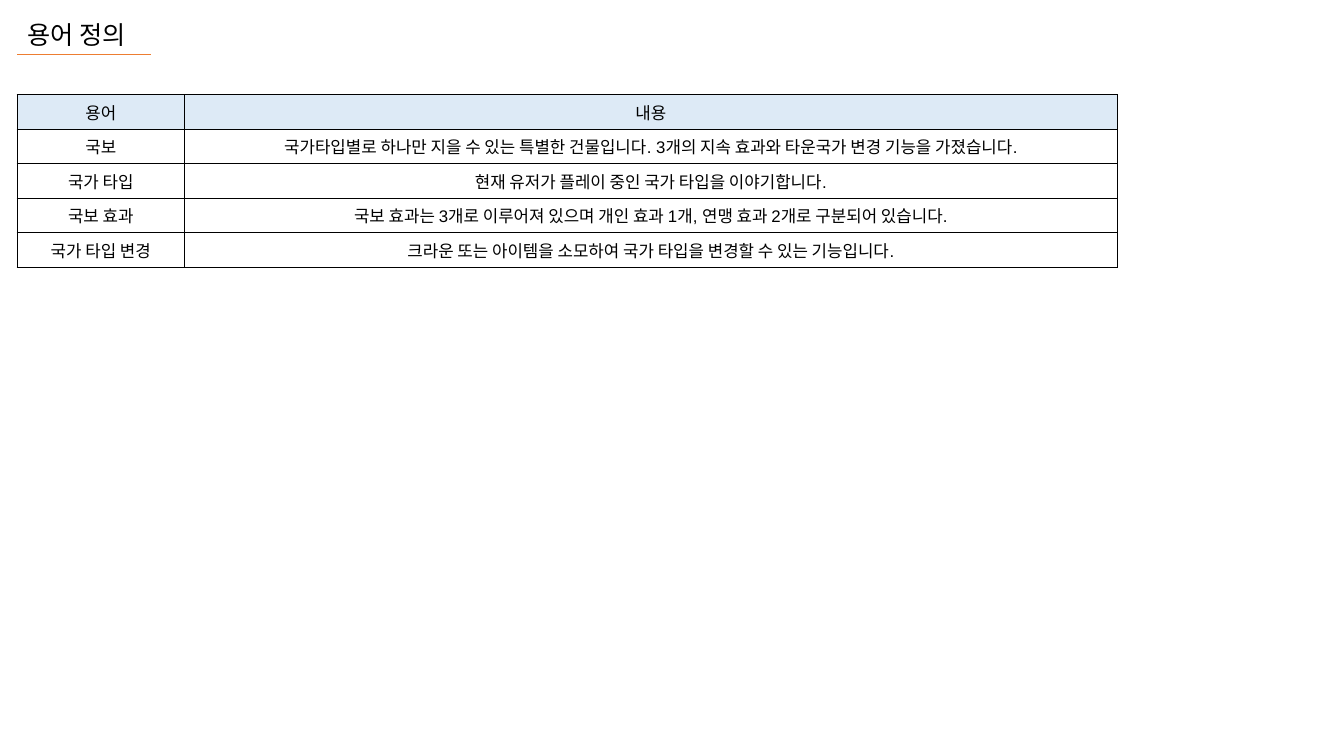
"""Build the slide that defines the game's terms in a two-column table."""
from lxml import etree
from pptx import Presentation
from pptx import util as u
from pptx.dml.color import RGBColor
from pptx.enum import shapes, text
from pptx.oxml import ns

BLACK = RGBColor(0x00, 0x00, 0x00)
ORANGE = RGBColor(0xED, 0x7D, 0x31)
PALE_BLUE = RGBColor(0xDD, 0xEA, 0xF6)

LEFT = u.Inches(0.17)
TITLE_TOP, TITLE_HEIGHT = u.Inches(0.14), u.Inches(0.4)
TABLE_TOP, ROW_HEIGHT = u.Inches(0.94), u.Inches(0.34)
COLUMN_WIDTHS = [u.Inches(1.66), u.Inches(9.25)]

TERMS = [
    ("용어", "내용"),
    ("국보", "국가타입별로 하나만 지을 수 있는 특별한 건물입니다. 3개의 지속 효과와 타운국가 변경 기능을 가졌습니다."),
    ("국가 타입", "현재 유저가 플레이 중인 국가 타입을 이야기합니다."),
    ("국보 효과", "국보 효과는 3개로 이루어져 있으며 개인 효과 1개, 연맹 효과 2개로 구분되어 있습니다."),
    ("국가 타입 변경", "크라운 또는 아이템을 소모하여 국가 타입을 변경할 수 있는 기능입니다."),
]


def write(frame, wording, size=12, align=text.PP_ALIGN.CENTER):
    frame.text = wording
    paragraph = frame.paragraphs[0]
    paragraph.alignment = align
    paragraph.line_spacing = 1.0
    font = paragraph.runs[0].font
    font.name, font.size, font.bold = "Arial", u.Pt(size), False
    font.color.rgb = BLACK


def add_borders(cell, width=u.Pt(1)):
    properties = cell._tc.get_or_add_tcPr()
    for side in ("a:lnL", "a:lnR", "a:lnT", "a:lnB"):
        border = etree.SubElement(properties, ns.qn(side), w=str(width))
        solid = etree.SubElement(border, ns.qn("a:solidFill"))
        etree.SubElement(solid, ns.qn("a:srgbClr"), val=str(BLACK))


prs = Presentation()
prs.slide_width, prs.slide_height = u.Inches(13.33), u.Inches(7.5)
slide = prs.slides.add_slide(prs.slide_layouts.get_by_name("Title Only"))

heading = slide.shapes.title
heading.left, heading.top = LEFT, TITLE_TOP
heading.width, heading.height = u.Inches(1.3), TITLE_HEIGHT
heading.text_frame.vertical_anchor = text.MSO_ANCHOR.TOP
heading.text_frame.auto_size = text.MSO_AUTO_SIZE.NONE
heading.text_frame.word_wrap = False
write(heading.text_frame, "용어 정의", size=18, align=text.PP_ALIGN.LEFT)

rule_y = TITLE_TOP + TITLE_HEIGHT
underline = slide.shapes.add_connector(
    shapes.MSO_CONNECTOR.STRAIGHT, LEFT, rule_y, u.Inches(1.5), rule_y)
underline.line.color.rgb = ORANGE
underline.line.width = u.Pt(0.75)
etree.SubElement(underline._element.spPr, ns.qn("a:effectLst"))

glossary = slide.shapes.add_table(
    len(TERMS), len(COLUMN_WIDTHS), LEFT, TABLE_TOP,
    sum(COLUMN_WIDTHS), ROW_HEIGHT * len(TERMS)).table
glossary.first_row = glossary.horz_banding = False
for column, width in zip(glossary.columns, COLUMN_WIDTHS):
    column.width = width

for row, entry in enumerate(TERMS):
    for col, wording in enumerate(entry):
        cell = glossary.cell(row, col)
        cell.vertical_anchor = text.MSO_ANCHOR.MIDDLE
        write(cell.text_frame, wording)
        add_borders(cell)
        if row == 0:
            cell.fill.solid()
            cell.fill.fore_color.rgb = PALE_BLUE
        else:
            cell.fill.background()

prs.save("out.pptx")
